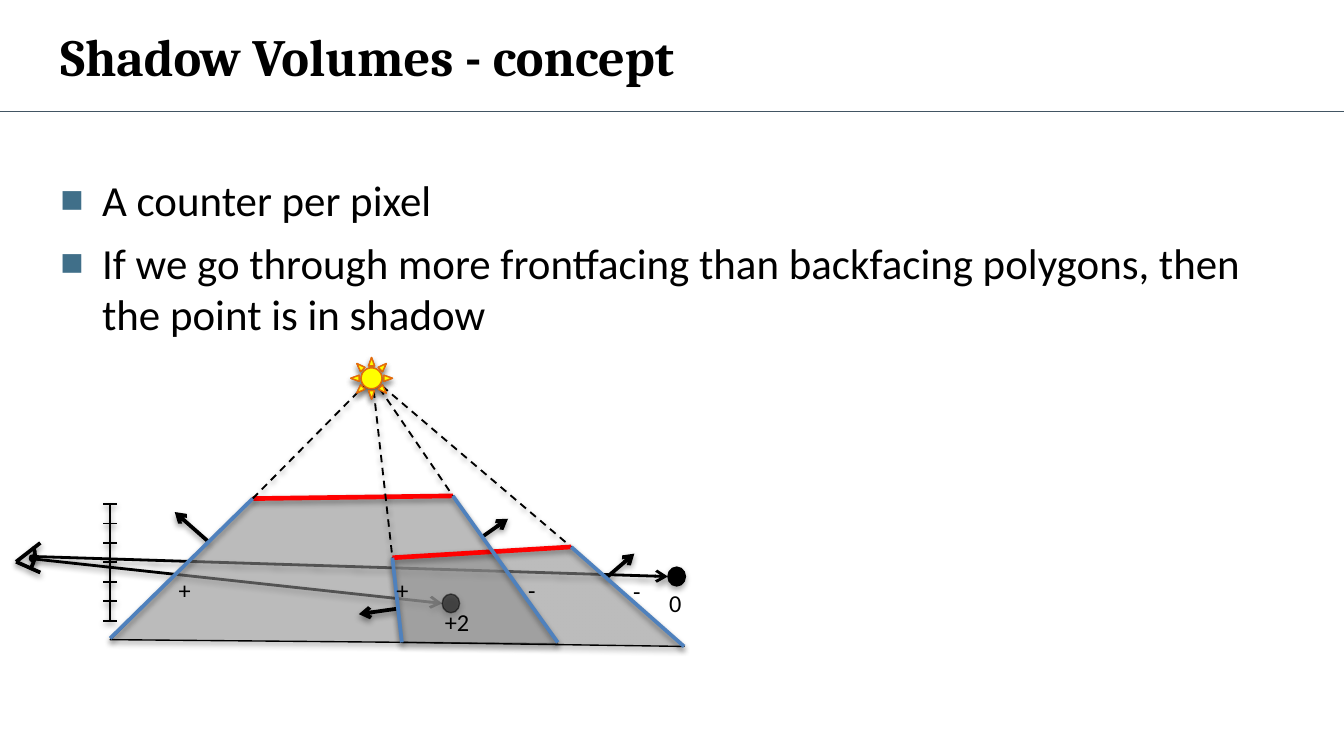
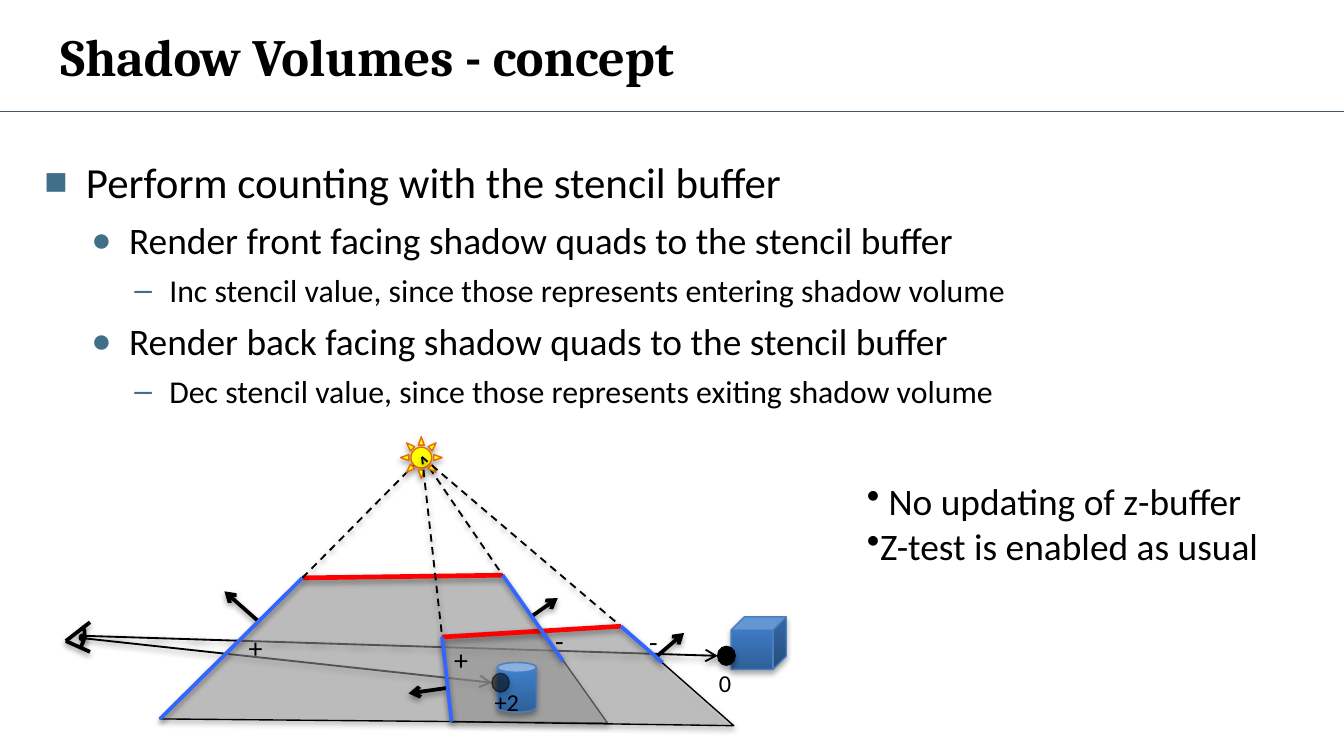
from copy import deepcopy

from pptx import Presentation, oxml, util as u
from pptx.dml.color import RGBColor
from pptx.enum import dml, shapes, text
from pptx.oxml.ns import nsdecls, qn

PX = u.Inches(1) // 100  # one px is a hundredth of an inch
SHAPE, LINE = shapes.MSO_SHAPE, shapes.MSO_CONNECTOR.STRAIGHT
BLACK, RED, GRAY, SLATE, TEAL = "000000", "FF0000", "A6A6A6", "425563", "406F89"
SUN_FILL, SUN_LINE, SOLID_LINE = "FFFF00", "E46C0A", "4B7EBC"
SOLID_STOPS = [(0, "2F5F99"), (0.8, "3D7CC7"), (1, "3A7CCB")]
BODY_FONT, TITLE_FONT = "Calibri", "Cambria"
TITLE = "Shadow Volumes - concept"

# Bullet levels: size, space before, left margin, hanging indent, sign, sign size %
LEVELS = [(23, 6, 31, -31, "■", 90), (20, 5.2, 63, -28, "●", 90), (17, 4.5, 93, -26, "–", 100)]

# Scene, in px of the first page
LIGHT = (277, 281)
FAR_OCCLUDER = [(188, 371), (337, 369)]
NEAR_OCCLUDER = [(425, 407), (292, 415)]
FAR_VOLUME = [FAR_OCCLUDER[0], (82, 476), (415, 479), FAR_OCCLUDER[1]]
NEAR_VOLUME = [NEAR_OCCLUDER[0], (509, 481), (299, 478), NEAR_OCCLUDER[1]]
FAR_NORMALS = [((358, 400), (378, 386)), ((155, 403), (130, 381))]
NEAR_NORMALS = [((295, 453), (267, 457)), ((451, 430), (472, 412))]
SIGHT_RAYS = [((26, 416), (329, 449)), ((22, 414), (497, 429))]
EYE_LIDS = [((12, 418), (30, 426)), ((12, 418), (30, 404))]
LIT_POINT, SHADED_POINT = (497, 422, 13, 14), (329, 442, 13, 14)
SUN = (261, 266, 31, 31)
EDGE_STARTS = [FAR_OCCLUDER[0], NEAR_OCCLUDER[1], FAR_OCCLUDER[1], NEAR_OCCLUDER[0]]
RULER_X, RULER_TOP, RULER_STEP, RULER_TICKS = 82, 375, 14.5, 7

PAGES = [
    dict(
        body=(35, 124, 929, 402),
        items=[(0, "A counter per pixel"),
               (0, "If we go through more frontfacing than backfacing polygons, "
                   "then the point is in shadow")],
        shift=(0, 0), ray_width=1.5, edge_color="4F81BD",
        edge_ends=[(82, 475), (299, 478), (415, 478), (509, 481)],
        signs=[("+", 126, 424, 36, 29), ("+", 288, 424, 36, 29),
               ("-", 386, 424, 36, 29), ("-", 464, 425, 36, 29)],
        sign_size=13, sign_wrap=True, ruler=True, solids=False, notes=None),
    dict(
        body=(23, 111, 904, 410),
        items=[(0, "Perform counting with the stencil buffer"),
               (1, "Render front facing shadow quads to the stencil buffer"),
               (2, "Inc stencil value, since those represents entering shadow volume"),
               (1, "Render back facing shadow quads to the stencil buffer"),
               (2, "Dec stencil value, since those represents exiting shadow volume")],
        shift=(37, 59), ray_width=1, edge_color="3366FF",
        edge_ends=[(82, 476), (299, 478), (382, 433), (456, 434)],
        signs=[("+", 141, 406, 26, 33), ("+", 294, 415, 26, 33),
               ("-", 369, 401, 22, 33), ("-", 439, 402, 22, 33)],
        sign_size=15, sign_wrap=False, ruler=False, solids=True,
        notes=[" No updating of z-buffer", "Z-test is enabled as usual"]),
]
NOTES_BOX = (638, 352, 310, 75)


# Formatting helpers
def px(*values):
    return [round(value * PX) for value in values]


def rgb(value):
    return RGBColor.from_string(value)


def add_xml(parent, markup):
    tag, rest = markup.split(" ", 1)
    parent.append(oxml.parse_xml(f"<a:{tag} {nsdecls('a')} {rest}"))


def add_shadow(item, alpha, distance):
    add_xml(item.element.spPr,
            f'effectLst ><a:outerShdw blurRad="40000" dist="{distance}" dir="5400000" '
            f'rotWithShape="0"><a:srgbClr val="{BLACK}"><a:alpha val="{alpha}000"/>'
            '</a:srgbClr></a:outerShdw></a:effectLst>')


def halve_opacity(item, *places):
    for place in places:
        add_xml(item.element.spPr.find("/".join(map(qn, place))), 'alpha val="50000"/>')


def style_font(para, size, name=BODY_FONT, bold=None):
    font = para.font
    font.size, font.name, font.bold = u.Pt(size), name, bold
    font.color.rgb = rgb(BLACK)


def set_bullet(para, sign, margin=0, indent=0, color=BLACK, percent=100):
    props = para._p.get_or_add_pPr()
    for name, value in zip(("marL", "indent"), px(margin, indent)):
        props.set(name, str(value))
    add_xml(props, f'buClr ><a:srgbClr val="{color}"/></a:buClr>')
    add_xml(props, f'buSzPct val="{percent}000"/>')
    add_xml(props, f'buChar char="{sign}"/>')


def fill_paragraphs(frame, lines):
    """Yield one paragraph for each line of text."""
    for index, line in enumerate(lines):
        para = frame.paragraphs[0] if index == 0 else frame.add_paragraph()
        para.text = line
        yield para


class Scene:
    """Draws on one page, moving every part by the same shift."""

    def __init__(self, page, shift):
        self.page = page
        self.dx, self.dy = shift

    def move(self, x, y):
        return x + self.dx, y + self.dy

    def line(self, start, end, width, color=BLACK, dashed=False, arrow=False):
        line = self.page.shapes.add_connector(
            LINE, *px(*self.move(*start), *self.move(*end)))
        line.line.color.rgb = rgb(color)
        line.line.width = u.Pt(width)
        if dashed:
            line.line.dash_style = dml.MSO_LINE.DASH
        if arrow:
            add_xml(line.line._get_or_add_ln(), 'tailEnd type="arrow"/>')
        add_shadow(line, 38, 20000)

    def finish(self, shape, fill, color=BLACK, width=0.75):
        if fill:
            shape.fill.solid()
            shape.fill.fore_color.rgb = rgb(fill)
        else:
            shape.fill.background()
        shape.line.color.rgb = rgb(color)
        shape.line.width = u.Pt(width)
        add_shadow(shape, 35, 23000)
        return shape

    def shape(self, kind, place, fill=BLACK, color=BLACK, width=0.75, turn=0):
        x, y, wide, high = place
        shape = self.page.shapes.add_shape(kind, *px(*self.move(x, y), wide, high))
        shape.rotation = turn
        return self.finish(shape, fill, color, width)

    def solid(self, kind, place):
        shape = self.shape(kind, place, color=SOLID_LINE)
        shape.fill.gradient()
        shape.fill.gradient_angle = 90
        stops = shape.element.spPr.find(".//" + qn("a:gsLst"))
        stops.append(deepcopy(stops[-1]))
        for stop, (position, color) in zip(shape.fill.gradient_stops, SOLID_STOPS):
            stop.position, stop.color.rgb = position, rgb(color)

    def volume(self, corners, occluder, normals):
        self.line(*normals[0], 2, arrow=True)
        points = [self.move(*corner) for corner in corners]
        builder = self.page.shapes.build_freeform(*points[0], scale=PX)
        builder.add_line_segments(points[1:], close=True)
        halve_opacity(self.finish(builder.convert_to_shape(), GRAY),
                      ("a:solidFill", "a:srgbClr"))
        self.line(*occluder, 2.5, RED)
        self.line(*normals[1], 2, arrow=True)

    def label(self, lines, place, size, wrap=True, sign=None):
        x, y, wide, high = place
        box = self.page.shapes.add_textbox(*px(*self.move(x, y), wide, high))
        frame = box.text_frame
        frame.margin_left = frame.margin_right = px(7)[0]
        frame.margin_top = frame.margin_bottom = px(4)[0]
        frame.word_wrap = wrap
        frame.auto_size = text.MSO_AUTO_SIZE.SHAPE_TO_FIT_TEXT
        for para in fill_paragraphs(frame, lines):
            if sign:
                set_bullet(para, sign)
            style_font(para, size)

    def sun(self):
        self.shape(SHAPE.SUN, SUN, SUN_FILL, SUN_LINE)

    def eye(self):
        self.shape(SHAPE.ARC, (12, 406, 12, 27), None, width=2, turn=26)
        for lid in EYE_LIDS:
            self.line(*lid, 2)
        self.shape(SHAPE.OVAL, (22, 413, 5, 5), turn=26)

    def ruler(self):
        ticks = [RULER_TOP + RULER_STEP * index for index in range(RULER_TICKS)]
        self.line((RULER_X, ticks[0]), (RULER_X, ticks[-1]), 1)
        for y in ticks:
            self.line((RULER_X - 5, y), (RULER_X + 5, y), 1)


def draw_scene(page, info):
    scene = Scene(page, info["shift"])
    scene.eye()
    for ray in SIGHT_RAYS:
        scene.line(*ray, info["ray_width"], arrow=True)
    if info["solids"]:
        scene.solid(SHAPE.CUBE, (507, 400, 41, 39))

    # Far volume, light and its rays
    scene.volume(FAR_VOLUME, FAR_OCCLUDER, FAR_NORMALS)
    scene.line(FAR_OCCLUDER[0], LIGHT, 1, dashed=True)
    scene.line(LIGHT, FAR_OCCLUDER[1], 1, dashed=True)
    scene.sun()
    for corner in reversed(NEAR_OCCLUDER):
        scene.line(LIGHT, corner, 1, dashed=True)
    scene.shape(SHAPE.OVAL, LIT_POINT)
    scene.label(["0"], (491, 434, 36, 29), 13)

    # Near volume and the point in shadow
    scene.volume(NEAR_VOLUME, NEAR_OCCLUDER, NEAR_NORMALS)
    if info["solids"]:
        scene.solid(SHAPE.CAN, (333, 434, 29, 37))
    halve_opacity(scene.shape(SHAPE.OVAL, SHADED_POINT),
                  ("a:solidFill", "a:srgbClr"), ("a:ln", "a:solidFill", "a:srgbClr"))
    scene.label(["+2"], (324, 448, 36, 29), 13)
    if not info["solids"]:
        scene.sun()

    # Counted edges
    for start, end in zip(EDGE_STARTS, info["edge_ends"]):
        scene.line(start, end, 2, info["edge_color"])
    for sign, *place in info["signs"]:
        scene.label([sign], place, info["sign_size"], info["sign_wrap"])
    if info["ruler"]:
        scene.ruler()


def place_holder(holder, place):
    holder.left, holder.top, holder.width, holder.height = px(*place)
    holder.text_frame.auto_size = text.MSO_AUTO_SIZE.NONE
    return holder.text_frame


def write_text(page, info):
    frame = place_holder(page.shapes.title, (35, 0, 929, 83))
    frame.text = TITLE
    frame.vertical_anchor = text.MSO_ANCHOR.MIDDLE
    para = frame.paragraphs[0]
    para.alignment = text.PP_ALIGN.LEFT
    style_font(para, 28, TITLE_FONT, True)

    frame = place_holder(page.placeholders[1], info["body"])
    items = info["items"]
    for index, para in enumerate(fill_paragraphs(frame, [line for _, line in items])):
        para.level = items[index][0]
        size, space, margin, indent, sign, percent = LEVELS[para.level]
        para.space_before = u.Pt(space if index else 0)
        set_bullet(para, sign, margin, indent, TEAL, percent)
        style_font(para, size)


def add_title_rule(layout, page):
    """Draw the rule under the title and hand it to the layout."""
    rule = page.shapes.add_connector(LINE, *px(0, 83, 1000, 83))
    rule.line.color.rgb = rgb(SLATE)
    rule.line.width = u.Pt(1)
    add_xml(rule.element.spPr, "effectLst />")
    layout.shapes.element.append(rule.element)


def main():
    deck = Presentation()
    deck.slide_width, deck.slide_height = px(1000, 562.5)
    layout = deck.slide_layouts[1]
    for info in PAGES:
        page = deck.slides.add_slide(layout)
        if info is PAGES[0]:
            add_title_rule(layout, page)
        write_text(page, info)
        draw_scene(page, info)
        if info["notes"]:
            Scene(page, (0, 0)).label(info["notes"], NOTES_BOX, 20, False, "•")
    deck.save("out.pptx")


if __name__ == "__main__":
    main()
